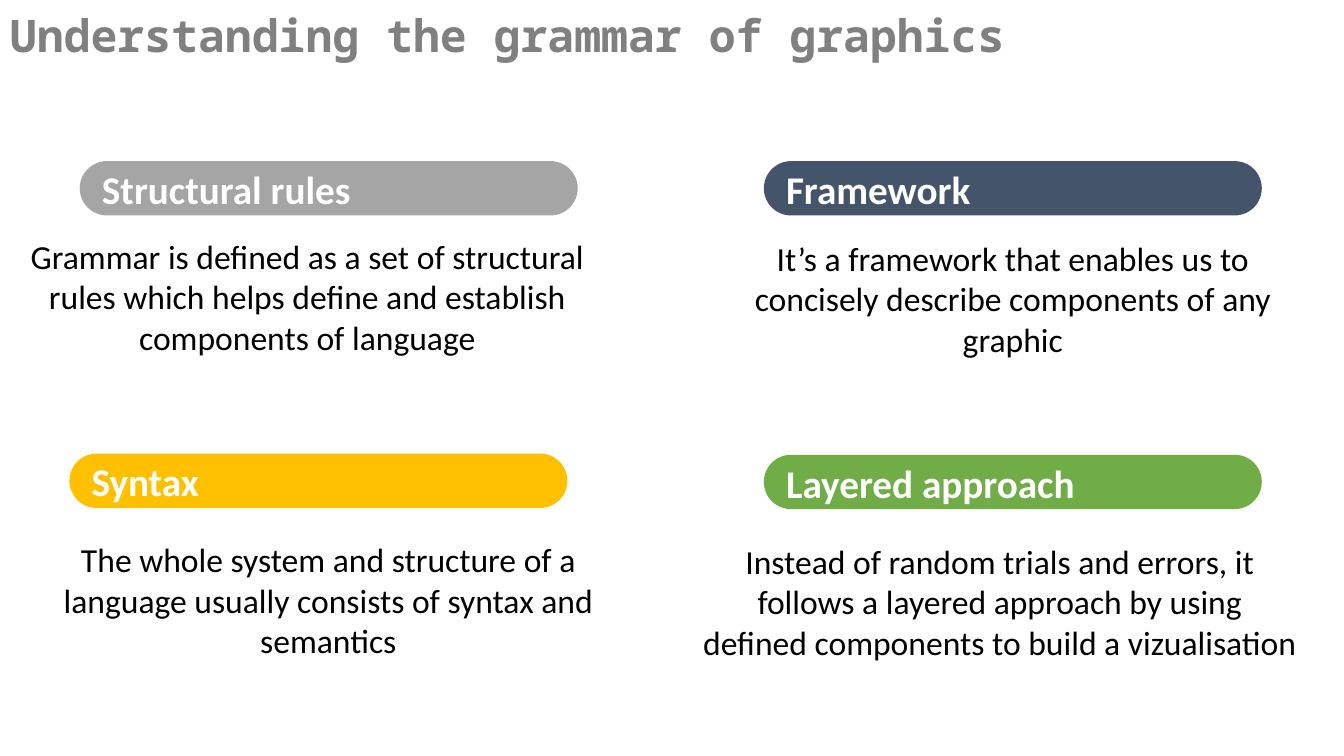
import pptx
import pptx.util
import pptx.dml.color
import pptx.enum.shapes
import pptx.enum.text

Cm = pptx.util.Cm
COLORS = {
    "title": "808080",
    "body": "000000",
    "label": "FFFFFF",
    "rules": "A5A5A5",
    "framework": "44546A",
    "syntax": "FFC000",
    "layers": "70AD47",
}


class GrammarSlide:
    bar_width, bar_height = 12.55, 1.37
    body_width, body_height = 15.49, 3.33

    def __init__(self, slide):
        self.slide = slide

    def color(self, name):
        return pptx.dml.color.RGBColor.from_string(COLORS[name])

    def text(self, wording, left, top, width, height, size, color,
             font="Calibri", bold=False, centered=False, spacing=None):
        box = self.slide.shapes.add_textbox(Cm(left), Cm(top), Cm(width), Cm(height))
        box.text_frame.word_wrap = True
        paragraph = box.text_frame.paragraphs[0]
        paragraph.text = wording
        paragraph.line_spacing = spacing
        if centered:
            paragraph.alignment = pptx.enum.text.PP_ALIGN.CENTER
        paragraph.font.name = font
        paragraph.font.size = pptx.util.Pt(size)
        paragraph.font.bold = bold
        paragraph.font.color.rgb = self.color(color)

    def bar(self, left, top, color):
        pill = self.slide.shapes.add_shape(
            pptx.enum.shapes.MSO_SHAPE.ROUNDED_RECTANGLE,
            Cm(left), Cm(top), Cm(self.bar_width), Cm(self.bar_height))
        pill.adjustments[0] = 0.5
        pill.shadow.inherit = False
        pill.fill.solid()
        pill.fill.fore_color.rgb = self.color(color)
        pill.line.fill.background()

    def concept(self, heading, color, bar_at, explanation, body_at):
        left, top = bar_at
        self.bar(left, top, color)
        self.text(heading, left + 0.31, top - 0.02, self.bar_width, 1.45,
                  28, "label", bold=True)
        self.text(explanation, *body_at, self.body_width, self.body_height,
                  24, "body", centered=True)


def main():
    deck = pptx.Presentation()
    deck.slide_width, deck.slide_height = Cm(33.87), Cm(19.05)
    grammar = GrammarSlide(deck.slides.add_slide(deck.slide_layouts[6]))

    grammar.text("Understanding the grammar of graphics", 0, 0.23, 33.43, 3.48,
                 32, "title", font="Noto Sans Mono", bold=True, spacing=0.9)

    concepts = [
        ("Structural rules", "rules", (2.01, 4.06),
         "Grammar is defined as a set of structural rules which helps define "
         "and establish components of language", (0, 5.82)),
        ("Syntax", "syntax", (1.75, 11.43),
         "The whole system and structure of a language usually consists of "
         "syntax and semantics", (0.53, 13.46)),
        ("Framework", "framework", (19.25, 4.06),
         "It’s a framework that enables us to concisely describe components "
         "of any graphic", (17.78, 5.87)),
        ("Layered approach", "layers", (19.25, 11.46),
         "Instead of random trials and errors, it follows a layered approach "
         "by using defined components to build a vizualisation", (17.45, 13.51)),
    ]
    for concept in concepts:
        grammar.concept(*concept)

    deck.save("out.pptx")


if __name__ == "__main__":
    main()
